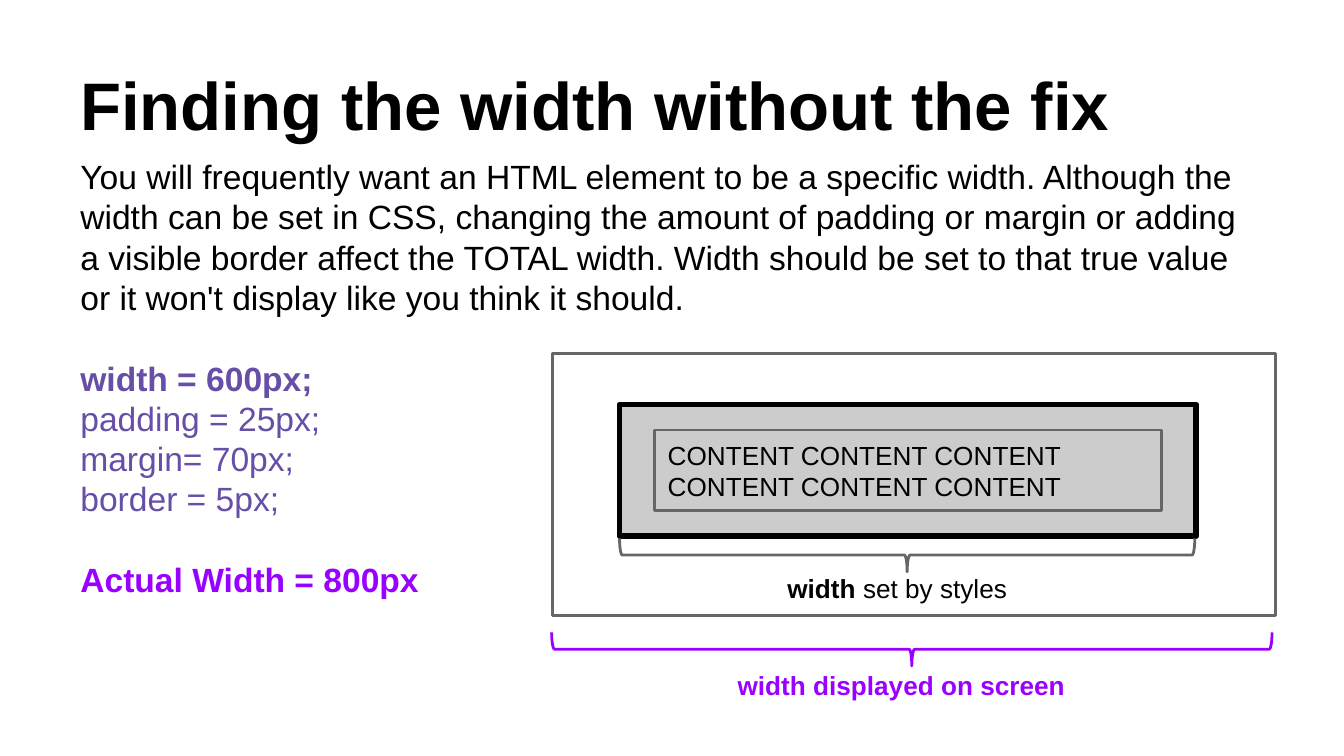
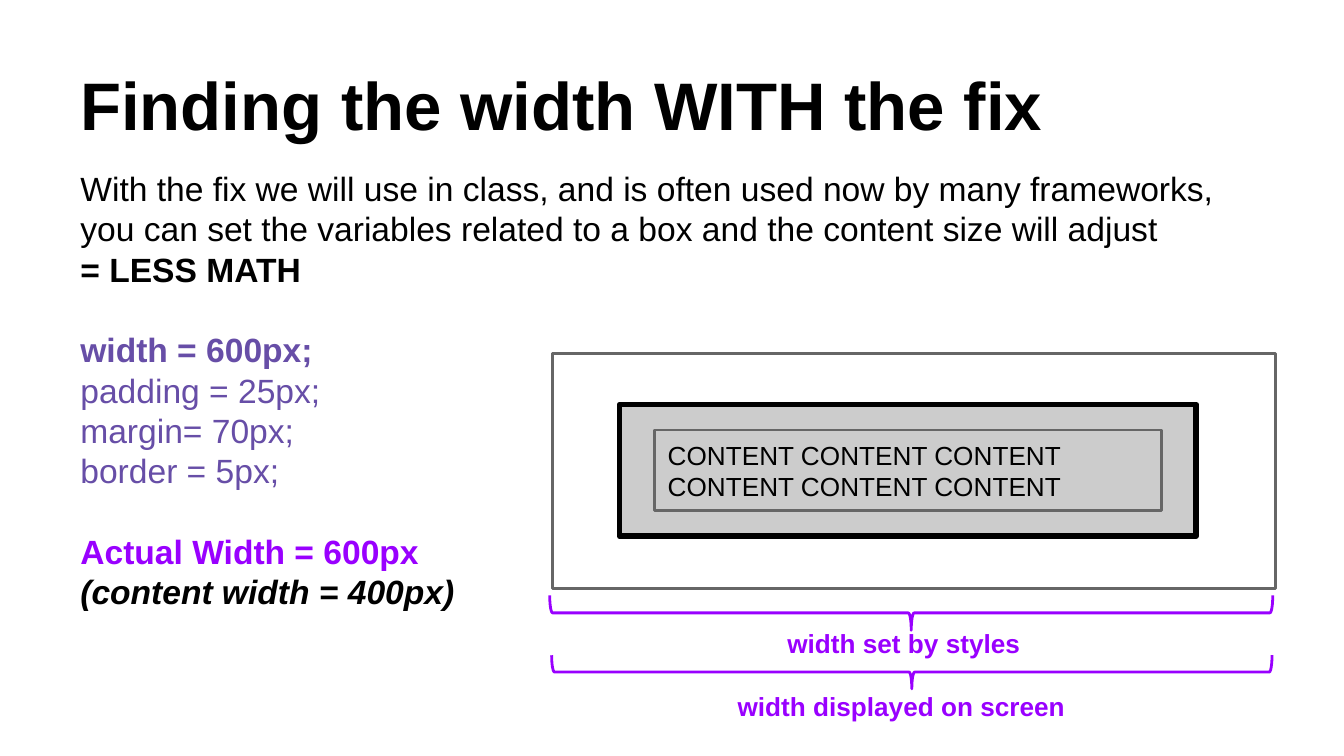
from dataclasses import dataclass

from pptx import Presentation
from pptx.dml.color import RGBColor
from pptx.enum.shapes import MSO_SHAPE
from pptx.enum.text import MSO_ANCHOR
from pptx.util import Inches, Pt

RECTANGLE = MSO_SHAPE.RECTANGLE
BRACE = MSO_SHAPE.LEFT_BRACE
TOP, MIDDLE, BOTTOM = MSO_ANCHOR.TOP, MSO_ANCHOR.MIDDLE, MSO_ANCHOR.BOTTOM


@dataclass(frozen=True)
class Theme:
    font: str = "Arial"
    ink: str = "000000"
    code: str = "674EA7"
    accent: str = "9900FF"
    outline: str = "666666"
    panel: str = "CCCCCC"
    title_size: float = 36
    body_size: float = 18
    label_size: float = 14
    body_line: float = 21.6
    thin: float = 1.5
    thick: float = 3


THEME = Theme()
SLIDE_WIDTH = Inches(10)
SLIDE_HEIGHT = SLIDE_WIDTH * 9 // 16
CELL = SLIDE_WIDTH // 100
INSET = CELL

PLAIN = {"color": THEME.ink}
STRONG = {"color": THEME.ink, "bold": True}
EMPHASIS = {"color": THEME.ink, "bold": True, "italic": True}
CODE = {"color": THEME.code}
CODE_STRONG = {"color": THEME.code, "bold": True}
ACCENT = {"color": THEME.accent, "bold": True}

SETTINGS = [
    [("width = 600px;", CODE_STRONG)],
    [("padding = 25px;", CODE)],
    [("margin= 70px;", CODE)],
    [("border = 5px;", CODE)],
]
DISPLAYED = [("width displayed on screen", ACCENT)]


def cells(*lengths):
    return [round(length * CELL) for length in lengths]


def set_all(target, values):
    for name, value in values.items():
        setattr(target, name, value)


def write_runs(paragraph, runs, size):
    for text, style in runs:
        run = paragraph.add_run()
        run.text = text
        values = {"name": THEME.font, "size": Pt(size), "bold": False, **style}
        run.font.color.rgb = RGBColor.from_string(values.pop("color"))
        set_all(run.font, values)


def write_groups(shape, groups, size, anchor=TOP, line=None):
    frame = shape.text_frame
    set_all(frame, {
        "word_wrap": True, "vertical_anchor": anchor,
        "margin_left": INSET, "margin_right": INSET,
        "margin_top": INSET, "margin_bottom": INSET,
    })
    paragraph = None
    for group in groups:
        for position, runs in enumerate(group):
            starts_group = paragraph is not None and position == 0
            paragraph = frame.add_paragraph() if paragraph else frame.paragraphs[0]
            if line:
                paragraph.line_spacing = Pt(line)
                paragraph.space_before = Pt(line if starts_group else 0)
            write_runs(paragraph, runs, size)


def add_text(slide, area, groups, size, **layout):
    write_groups(slide.shapes.add_textbox(*cells(*area)), groups, size, **layout)


def add_outline(slide, kind, area, color, weight, fill=None):
    shape = slide.shapes.add_shape(kind, *cells(*area))
    shape.shadow.inherit = False
    if fill:
        shape.fill.solid()
        shape.fill.fore_color.rgb = RGBColor.from_string(fill)
    else:
        shape.fill.background()
    shape.line.color.rgb = RGBColor.from_string(color)
    shape.line.width = Pt(weight)
    return shape


def add_brace(slide, left, top, width, depth=2.5, color=THEME.accent):
    center_x, center_y = left + width / 2, top + depth / 2
    area = (center_x - depth / 2, center_y - width / 2, depth, width)
    brace = add_outline(slide, BRACE, area, color, THEME.thin)
    brace.rotation = 270
    brace.adjustments[0] = 0.083
    brace.adjustments[1] = 0.5


def add_label(slide, left, top, width, runs):
    add_text(slide, (left, top, width, 3.1), [[runs]], THEME.label_size)


def add_box_model(slide, margin_height):
    add_outline(slide, RECTANGLE, (41.1, 26.3, 53.8, margin_height),
                THEME.outline, THEME.thin)
    left, top, width, height = border = (46.1, 30.1, 42.9, 9.8)
    add_outline(slide, RECTANGLE, border, THEME.ink, THEME.thick, THEME.panel)
    across, down = 2.6, 1.9
    content = add_outline(
        slide, RECTANGLE,
        (left + across, top + down, width - 2 * across, height - 2 * down),
        THEME.outline, THEME.thin, THEME.panel)
    words = " ".join(["CONTENT"] * 6)
    write_groups(content, [[[(words, PLAIN)]]], THEME.label_size, anchor=MIDDLE)
    content.text_frame.paragraphs[0].alignment = 1


def add_topic(presentation, title, body_top, groups, margin_height):
    slide = presentation.slides.add_slide(presentation.slide_layouts[6])
    add_text(slide, (5, 2.3, 90, 9.4), [[[(title, STRONG)]]],
             THEME.title_size, anchor=BOTTOM)
    add_text(slide, (5, body_top, 90, 43), groups, THEME.body_size,
             line=THEME.body_line)
    add_box_model(slide, margin_height)
    return slide


def add_without_fix(presentation):
    explanation = (
        "You will frequently want an HTML element to be a specific width. "
        "Although the width can be set in CSS, changing the amount of padding "
        "or margin or adding a visible border affect the TOTAL width. Width "
        "should be set to that true value or it won't display like you think "
        "it should."
    )
    groups = [
        [[(explanation, PLAIN)]],
        SETTINGS,
        [[("Actual Width = 800px", ACCENT)]],
    ]
    slide = add_topic(presentation, "Finding the width without the fix",
                      10.6, groups, 19.5)
    add_brace(slide, 46.1, 40.05, 42.8, color=THEME.outline)
    add_brace(slide, 41.05, 47.05, 53.6)
    add_label(slide, 57.6, 41.6, 23.5,
              [("width", STRONG), (" set by styles", PLAIN)])
    add_label(slide, 53.9, 48.8, 27.3, DISPLAYED)


def add_with_fix(presentation):
    explanation = (
        "With the fix we will use in class, and is often used now by many "
        "frameworks, you can set the variables related to a box and the "
        "content size will adjust"
    )
    groups = [
        [[(explanation, PLAIN)], [("= LESS MATH", STRONG)]],
        SETTINGS,
        [[("Actual Width = 600px", ACCENT)],
         [("(content width = 400px)", EMPHASIS)]],
    ]
    slide = add_topic(presentation, "Finding the width WITH the fix",
                      11.5, groups, 17.5)
    add_brace(slide, 40.9, 44.3, 53.8, depth=2.6)
    add_brace(slide, 41.05, 48.75, 53.6)
    add_label(slide, 57.6, 45.7, 23.5, [("width set by styles", ACCENT)])
    add_label(slide, 53.9, 50.4, 27.3, DISPLAYED)


def main():
    presentation = Presentation()
    set_all(presentation, {"slide_width": SLIDE_WIDTH, "slide_height": SLIDE_HEIGHT})
    add_without_fix(presentation)
    add_with_fix(presentation)
    presentation.save("out.pptx")


if __name__ == "__main__":
    main()
